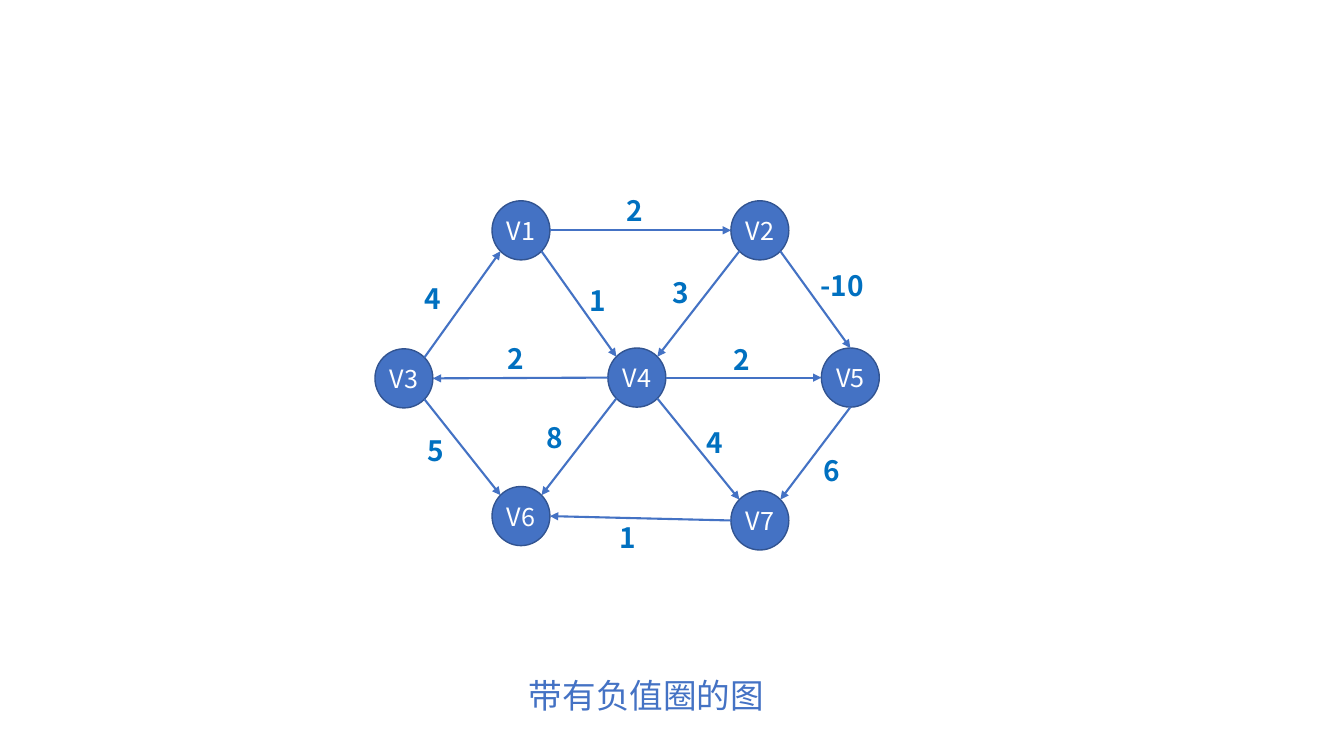
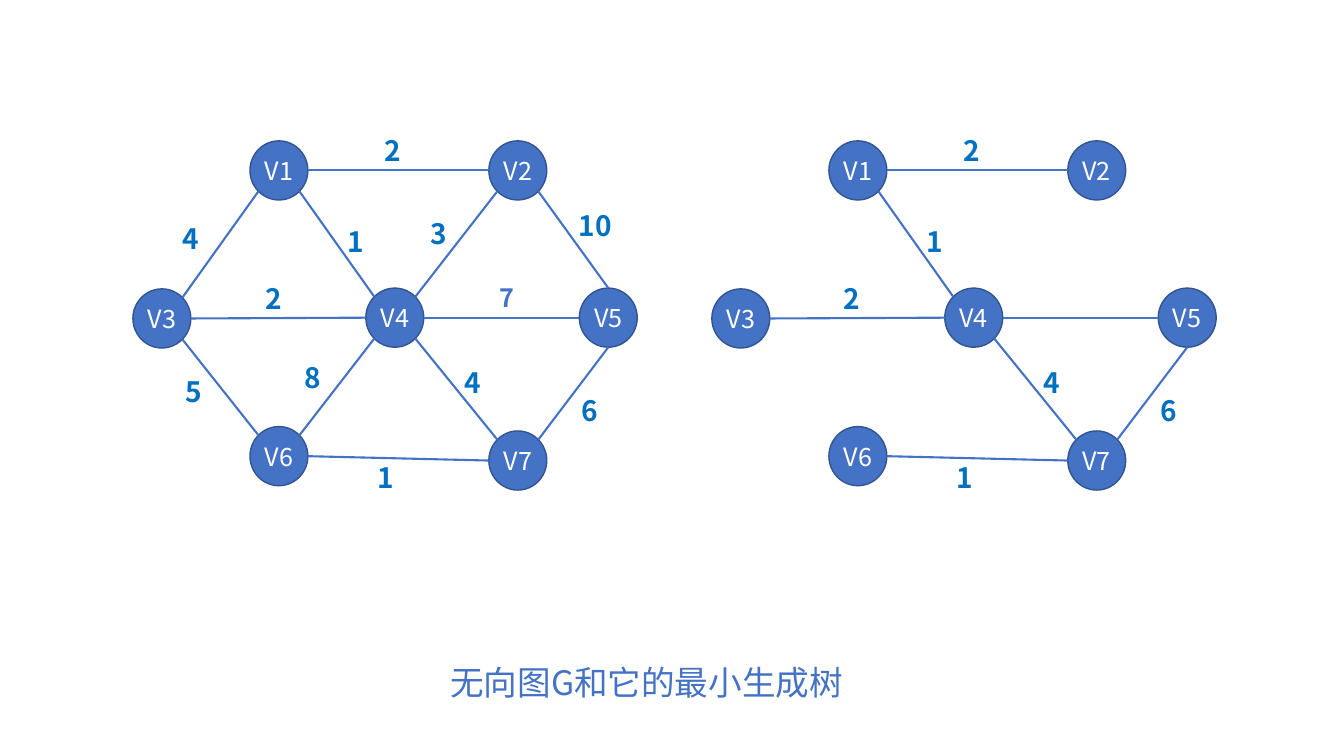
from dataclasses import dataclass
from enum import IntEnum
from math import cos, pi, sin

from lxml.etree import SubElement
from pptx import Presentation
from pptx.dml.color import RGBColor
from pptx.enum.shapes import MSO_CONNECTOR, MSO_SHAPE
from pptx.enum.text import MSO_ANCHOR, MSO_AUTO_SIZE, PP_ALIGN
from pptx.oxml.ns import qn
from pptx.shapes.autoshape import Shape
from pptx.slide import Slide
from pptx.util import Cm, Pt


@dataclass(frozen=True)
class TextStyle:
    size: int
    color: RGBColor
    bold: bool = False


@dataclass(frozen=True)
class Theme:
    font: str = "Noto Sans CJK SC"
    blue: RGBColor = RGBColor(0x44, 0x72, 0xC4)
    outline: RGBColor = RGBColor(0x32, 0x54, 0x91)
    node: TextStyle = TextStyle(18, RGBColor(0xFF, 0xFF, 0xFF))
    weight: TextStyle = TextStyle(20, RGBColor(0x00, 0x70, 0xC0), True)
    late_weight: TextStyle = TextStyle(18, blue, True)
    caption: TextStyle = TextStyle(24, blue)


class Site(IntEnum):
    """Connection sites of an ellipse, anticlockwise from the top."""
    TOP = 0
    TOP_LEFT = 1
    LEFT = 2
    BOTTOM_LEFT = 3
    BOTTOM = 4
    BOTTOM_RIGHT = 5
    RIGHT = 6
    TOP_RIGHT = 7


@dataclass(frozen=True)
class Edge:
    """An edge and the place of its weight, in cm from the graph's corner."""
    start: str
    start_site: Site
    end: str
    end_site: Site
    label_x: float
    label_y: float

    @property
    def name(self) -> str:
        return f"{self.start}-{self.end}"


@dataclass(frozen=True)
class Graph:
    """A drawn graph; weights maps edge names to labels ("" for none)."""
    left: float
    top: float
    weights: dict[str, str]
    directed: bool = False
    late: str = ""


THEME = Theme()
NODE_W, NODE_H = 1.46, 1.49
LABEL_W, WIDE_LABEL_W, LABEL_H = 1.19, 1.75, 1.11

NODES = {
    "V1": (2.95, 0), "V2": (8.97, 0), "V5": (11.25, 3.71), "V3": (0, 3.73),
    "V7": (8.97, 7.31), "V6": (2.95, 7.2), "V4": (5.87, 3.71),
}
EDGES = (
    Edge("V1", Site.RIGHT, "V2", Site.LEFT, 6.35, -0.32),
    Edge("V1", Site.BOTTOM_RIGHT, "V4", Site.TOP_LEFT, 5.41, 1.97),
    Edge("V2", Site.BOTTOM_LEFT, "V4", Site.TOP_RIGHT, 7.49, 1.77),
    Edge("V2", Site.BOTTOM_RIGHT, "V5", Site.TOP, 11.23, 1.59),
    Edge("V3", Site.TOP_RIGHT, "V1", Site.BOTTOM_LEFT, 1.25, 1.9),
    Edge("V3", Site.BOTTOM_RIGHT, "V6", Site.TOP_LEFT, 1.32, 5.75),
    Edge("V4", Site.LEFT, "V3", Site.RIGHT, 3.33, 3.42),
    Edge("V4", Site.RIGHT, "V5", Site.LEFT, 9.04, 3.45),
    Edge("V4", Site.BOTTOM_LEFT, "V6", Site.TOP_RIGHT, 4.32, 5.41),
    Edge("V4", Site.BOTTOM_RIGHT, "V7", Site.TOP_LEFT, 8.36, 5.53),
    Edge("V5", Site.BOTTOM, "V7", Site.TOP_RIGHT, 11.3, 6.25),
    Edge("V7", Site.LEFT, "V6", Site.RIGHT, 6.17, 7.94),
)

TREE = {"V1-V2": "2", "V1-V4": "1", "V4-V3": "2", "V4-V5": "",
        "V4-V7": "4", "V5-V7": "6", "V7-V6": "1"}
FULL = TREE | {"V2-V4": "3", "V3-V1": "4", "V3-V6": "5", "V4-V6": "8"}


def write(s: Shape, text: str, style: TextStyle) -> None:
    tf = s.text_frame
    tf.text = text
    r = tf.paragraphs[0].runs[0]
    r.font.name = THEME.font
    r.font.size = Pt(style.size)
    r.font.bold = style.bold
    r.font.color.rgb = style.color
    SubElement(r.font._element, qn("a:ea"), typeface=THEME.font)


def add_node(slide: Slide, name: str, left: float, top: float) -> Shape:
    s = slide.shapes.add_shape(
        MSO_SHAPE.OVAL, Cm(left), Cm(top), Cm(NODE_W), Cm(NODE_H))
    s.shadow.inherit = False
    s.fill.solid()
    s.fill.fore_color.rgb = THEME.blue
    s.line.color.rgb = THEME.outline
    s.line.width = Pt(1)
    tf = s.text_frame
    tf.margin_left = tf.margin_right = 0
    tf.vertical_anchor = MSO_ANCHOR.MIDDLE
    write(s, name, THEME.node)
    tf.paragraphs[0].alignment = PP_ALIGN.CENTER
    return s


def site_point(s: Shape, site: Site) -> tuple[int, int]:
    angle = site * pi / 4
    return (round(s.left + s.width * (1 - sin(angle)) / 2),
            round(s.top + s.height * (1 - cos(angle)) / 2))


def add_edge(slide: Slide, edge: Edge, nodes: dict[str, Shape],
             directed: bool) -> None:
    """Draw an edge glued to the ellipse sites at both of its ends."""
    start, end = nodes[edge.start], nodes[edge.end]
    line = slide.shapes.add_connector(
        MSO_CONNECTOR.STRAIGHT,
        *site_point(start, edge.start_site), *site_point(end, edge.end_site))
    line.line.color.rgb = THEME.blue
    line.line.width = Pt(1.5)
    if directed:
        SubElement(line.line._get_or_add_ln(), qn("a:tailEnd"), type="triangle")
    SubElement(line._element.spPr, qn("a:effectLst"))
    glue = line._element.nvCxnSpPr.cNvCxnSpPr
    for tag, node, site in (("a:stCxn", start, edge.start_site),
                            ("a:endCxn", end, edge.end_site)):
        SubElement(glue, qn(tag), id=str(node.shape_id), idx=str(int(site)))


def add_weight(slide: Slide, text: str, left: float, top: float,
               style: TextStyle) -> None:
    width = LABEL_W if len(text) == 1 else WIDE_LABEL_W
    s = slide.shapes.add_textbox(Cm(left), Cm(top), Cm(width), Cm(LABEL_H))
    tf = s.text_frame
    tf.margin_left = tf.margin_right = 0
    tf.word_wrap = True
    tf.auto_size = MSO_AUTO_SIZE.SHAPE_TO_FIT_TEXT
    write(s, text, style)


def add_graph(slide: Slide, graph: Graph) -> None:
    nodes = {name: add_node(slide, name, graph.left + x, graph.top + y)
             for name, (x, y) in NODES.items()}
    edges = [edge for edge in EDGES if edge.name in graph.weights]
    for edge in edges:
        add_edge(slide, edge, nodes, graph.directed)
    for edge in edges:
        if weight := graph.weights[edge.name]:
            late = edge.name == graph.late
            add_weight(slide, weight,
                       graph.left + edge.label_x + (0.2 if late else 0),
                       graph.top + edge.label_y,
                       THEME.late_weight if late else THEME.weight)


def add_caption(slide: Slide, text: str, top: float) -> None:
    s = slide.shapes.title
    s.left, s.top, s.width, s.height = Cm(4.23), Cm(top), Cm(24.13), Cm(1.28)
    tf = s.text_frame
    tf.word_wrap = True
    tf.auto_size = MSO_AUTO_SIZE.SHAPE_TO_FIT_TEXT
    tf.vertical_anchor = MSO_ANCHOR.TOP
    write(s, text, THEME.caption)
    tf.paragraphs[0].alignment = PP_ALIGN.CENTER


def main() -> None:
    prs = Presentation()
    prs.slide_width, prs.slide_height = Cm(33.87), Cm(19.05)
    negative = FULL | {"V2-V5": "-10", "V4-V5": "2"}
    undirected = FULL | {"V2-V5": "10", "V4-V5": "7"}
    pages = (
        ("带有负值圈的图", 16.87, (Graph(9.45, 5.06, negative, directed=True),)),
        ("无向图G和它的最小生成树", 16.56,
         (Graph(3.35, 3.55, undirected, late="V4-V5"),
          Graph(17.94, 3.55, TREE))),
    )
    for caption, top, graphs in pages:
        slide = prs.slides.add_slide(prs.slide_layouts[5])
        add_caption(slide, caption, top)
        for graph in graphs:
            add_graph(slide, graph)
    prs.save("out.pptx")


if __name__ == "__main__":
    main()
